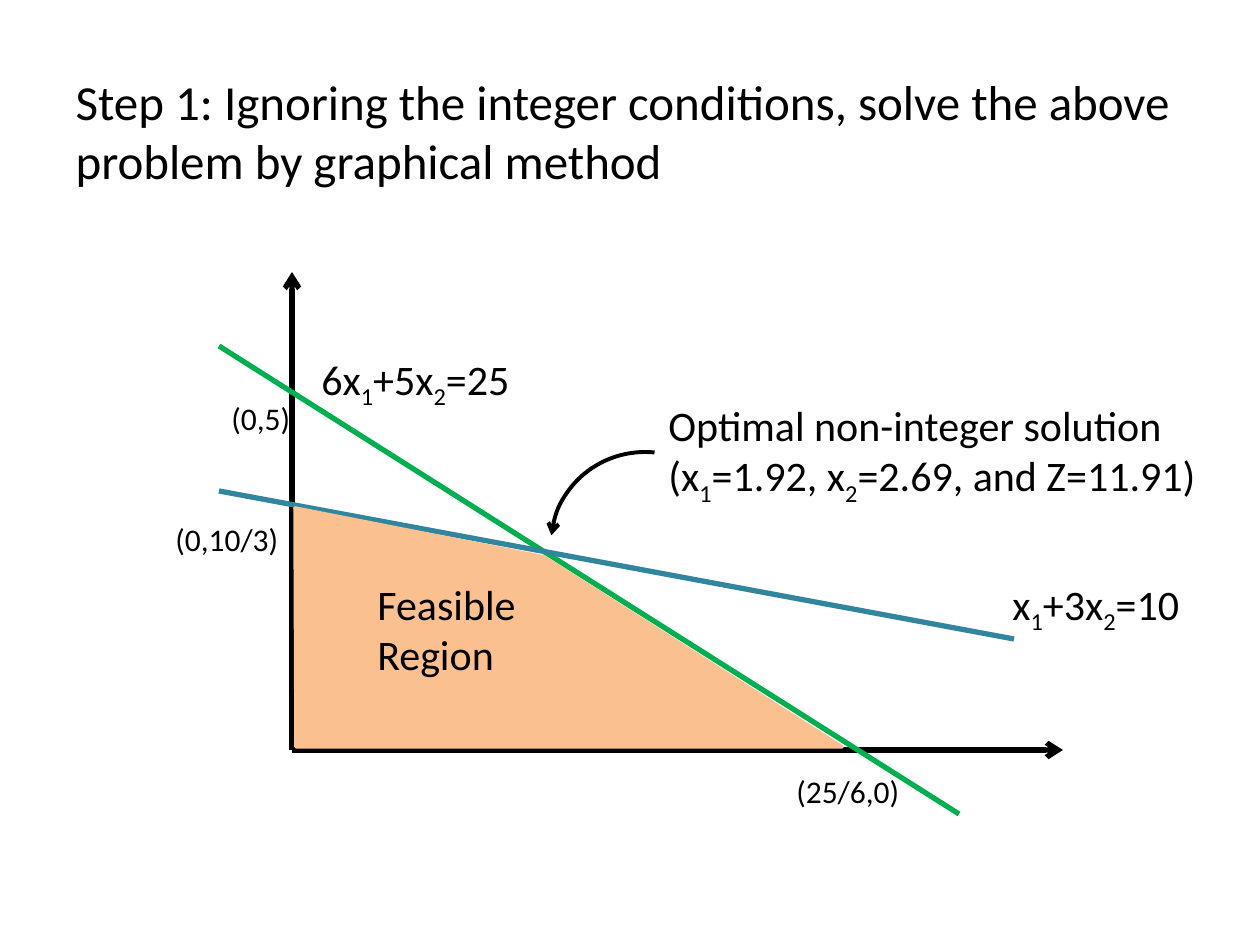
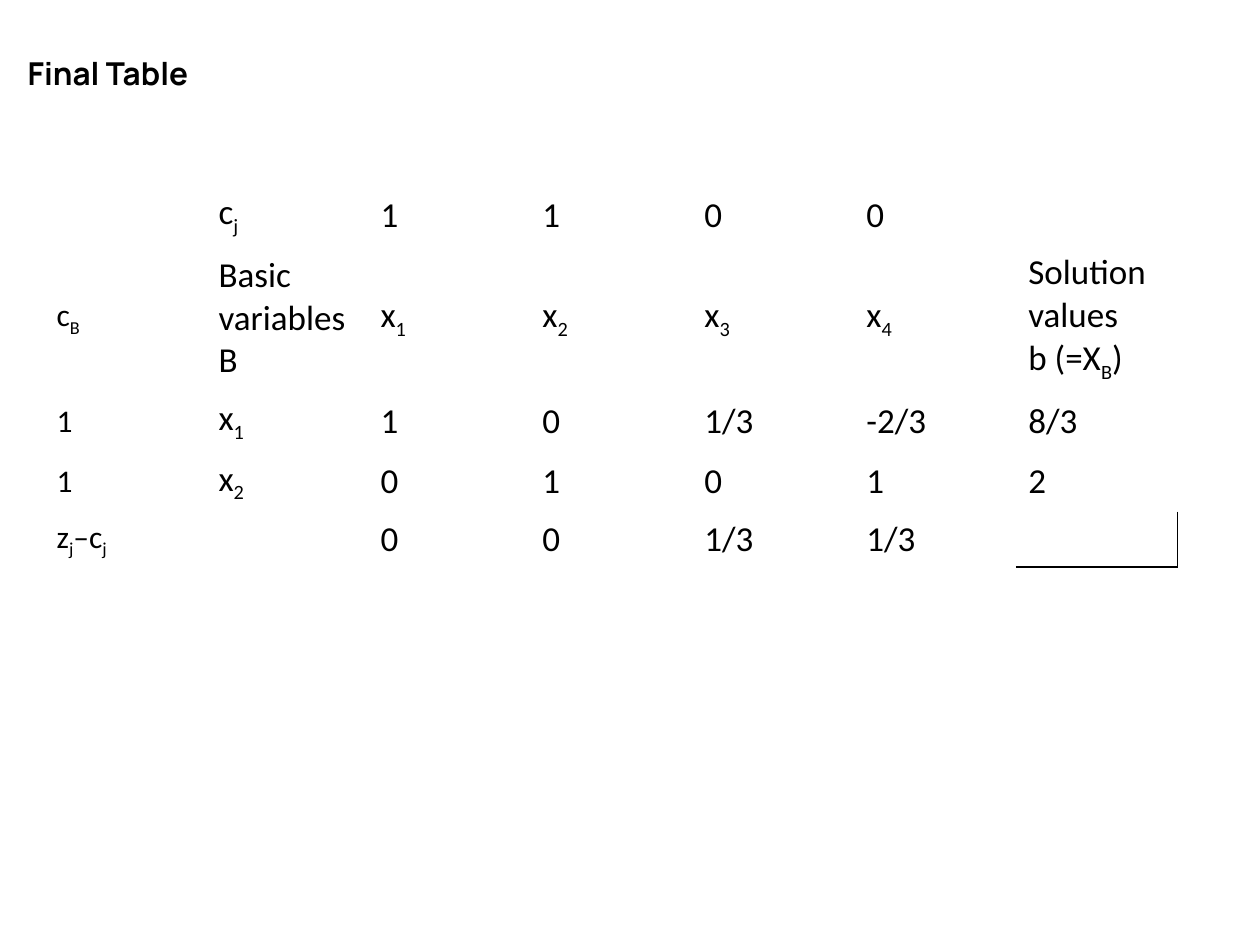
from typing import NamedTuple

from pptx import Presentation
from pptx.dml.color import RGBColor
from pptx.enum.shapes import MSO_CONNECTOR as Connector, MSO_SHAPE as Shape
from pptx.enum.text import MSO_ANCHOR as Anchor, MSO_AUTO_SIZE as AutoSize, PP_ALIGN as Align
from pptx.oxml.ns import qn
from pptx.oxml.xmlchemy import OxmlElement
from pptx.util import Emu, Pt

PX_PER_INCH = 126
EMU_PER_PX = 914400 / PX_PER_INCH
BODY_FONT, ACCENT_FONT = "Calibri", "Manrope"
NO_GRID_STYLE = "{2D5ABB26-0587-4C30-8999-92F81FD0307C}"
COLORS = {
    "ink": "000000",
    "steep": "00B050",
    "shallow": "31859C",
    "region": "FAC090",
}


class Box(NamedTuple):
    left: int
    top: int
    width: int
    height: int


class Segment(NamedTuple):
    start: tuple[int, int]
    end: tuple[int, int]
    color: str
    arrow: bool = False


class Label(NamedTuple):
    text: str
    box: Box
    size: int = 24
    wrap: bool = False


ORIGIN = (292, 750)
SEGMENTS = [
    Segment((292, 272), ORIGIN, "ink", arrow=True),
    Segment((1063, 750), ORIGIN, "ink", arrow=True),
    Segment((959, 814), (219, 346), "steep"),
    Segment((1014, 639), (219, 491), "shallow"),
]
REGION_CORNERS = [(295, 508), (544, 557), (842, 747), (296, 747)]
SOLUTION_ARC = Box(553, 450, 185, 189)
LABELS = [
    Label("Feasible\nRegion", Box(365, 572, 175, 115)),
    Label("Optimal non-integer solution\n(x_1=1.92, x_2=2.69, and Z=11.91)",
          Box(656, 393, 561, 115)),
    Label("6x_1+5x_2=25", Box(309, 347, 219, 63)),
    Label("x_1+3x_2=10", Box(1000, 572, 198, 63)),
    Label("(25/6,0)", Box(784, 766, 179, 50), 18, wrap=True),
    Label("(0,5)", Box(219, 393, 86, 50), 18),
    Label("(0,10/3)", Box(163, 514, 130, 50), 18),
]

SIMPLEX_ROWS = [
    ["", "c_j", "1", "1", "0", "0", ""],
    ["c_B", "Basic variables\vB", "x_1", "x_2", "x_3", "x_4", "Solution values\vb (=X_B)"],
    ["1", "x_1", "1", "0", "1/3", "-2/3", "8/3"],
    ["1", "x_2", "0", "1", "0", "1", "2"],
    ["z_j–c_j", "", "0", "0", "1/3", "1/3", ""],
]
ROW_HEIGHTS = [54, 141, 54, 54, 54]
COLUMN_WIDTH = 162


def px(value: float) -> Emu:
    return Emu(round(value * EMU_PER_PX))


def emu_box(box: Box) -> list[Emu]:
    return [px(length) for length in box]


def rgb(name: str) -> RGBColor:
    return RGBColor.from_string(COLORS[name])


def add_runs(paragraph, text: str, size: int, font: str = BODY_FONT, bold: bool = False) -> None:
    """Add text in which "_" lowers the next character and "\\v" breaks the line."""
    def add(piece: str, lowered: bool = False) -> None:
        if not piece:
            return
        run = paragraph.add_run()
        run.text = piece
        run.font.name, run.font.size = font, Pt(size)
        run.font.color.rgb = rgb("ink")
        if bold:
            run.font.bold = True
        if lowered:
            run._r.get_or_add_rPr().set("baseline", "-25000")

    for index, line in enumerate(text.split("\v")):
        if index:
            paragraph.add_line_break()
        plain, *rest = line.split("_")
        add(plain)
        for piece in rest:
            add(piece[0], lowered=True)
            add(piece[1:])


def add_titled_slide(deck, text: str, box: Box, size: int, font: str = BODY_FONT,
                     bold: bool = False, top_inset: int = 6):
    slide = deck.slides.add_slide(deck.slide_layouts[5])
    title = slide.shapes.title
    title.left, title.top, title.width, title.height = emu_box(box)
    frame = title.text_frame
    frame.word_wrap = True
    frame.auto_size = AutoSize.NONE
    frame.vertical_anchor = Anchor.TOP
    frame.margin_top = px(top_inset)
    paragraph = frame.paragraphs[0]
    paragraph.alignment = Align.LEFT
    add_runs(paragraph, text, size, font, bold)
    return slide


def style_line(shape, color: str, width: float, arrow: bool = False) -> None:
    shape.line.color.rgb = rgb(color)
    shape.line.width = Pt(width)
    if arrow:
        head = OxmlElement("a:headEnd")
        head.set("type", "arrow")
        shape.line._get_or_add_ln().append(head)


def draw_segment(slide, segment: Segment) -> None:
    ends = [px(value) for value in (*segment.start, *segment.end)]
    line = slide.shapes.add_connector(Connector.STRAIGHT, *ends)
    style_line(line, segment.color, 3, segment.arrow)
    line._element.spPr.append(OxmlElement("a:effectLst"))


def draw_region(slide) -> None:
    first, *others = [(px(x), px(y)) for x, y in REGION_CORNERS]
    builder = slide.shapes.build_freeform(*first)
    builder.add_line_segments(others, close=True)
    region = builder.convert_to_shape()
    region.shadow.inherit = False
    region.fill.solid()
    region.fill.fore_color.rgb = rgb("region")
    style_line(region, "region", 2)


def draw_solution_arc(slide) -> None:
    arc = slide.shapes.add_shape(Shape.ARC, *emu_box(SOLUTION_ARC))
    arc.rotation = 275.6
    arc.shadow.inherit = False
    arc.fill.background()
    style_line(arc, "ink", 2.25, arrow=True)


def draw_label(slide, label: Label) -> None:
    frame = slide.shapes.add_textbox(*emu_box(label.box)).text_frame
    frame.word_wrap = label.wrap
    frame.auto_size = AutoSize.SHAPE_TO_FIT_TEXT
    for index, line in enumerate(label.text.split("\n")):
        paragraph = frame.add_paragraph() if index else frame.paragraphs[0]
        add_runs(paragraph, line, label.size)


def add_border(cell, side: str) -> None:
    border = OxmlElement(f"a:{side}")
    border.set("w", str(Pt(1)))
    fill = OxmlElement("a:solidFill")
    color = OxmlElement("a:srgbClr")
    color.set("val", COLORS["ink"])
    fill.append(color)
    border.append(fill)
    cell._tc.get_or_add_tcPr().insert(0, border)


def draw_simplex_table(slide) -> None:
    column_count = len(SIMPLEX_ROWS[0])
    box = Box(44, 185, column_count * COLUMN_WIDTH, sum(ROW_HEIGHTS))
    table = slide.shapes.add_table(len(SIMPLEX_ROWS), column_count, *emu_box(box)).table
    table.first_row = table.horz_banding = False
    table._tbl.tblPr.find(qn("a:tableStyleId")).text = NO_GRID_STYLE
    for column in table.columns:
        column.width = px(COLUMN_WIDTH)
    for r, (height, texts) in enumerate(zip(ROW_HEIGHTS, SIMPLEX_ROWS)):
        table.rows[r].height = px(height)
        for c, text in enumerate(texts):
            cell = table.cell(r, c)
            cell.fill.background()
            cell.vertical_anchor = Anchor.MIDDLE
            add_runs(cell.text_frame.paragraphs[0], text, 20 if c else 18)
    corner = table.cell(len(SIMPLEX_ROWS) - 1, column_count - 1)
    for side in ("lnB", "lnR"):
        add_border(corner, side)


def build_graph_slide(deck) -> None:
    slide = add_titled_slide(
        deck,
        "Step 1: Ignoring the integer conditions, solve the above problem by graphical method",
        Box(63, 66, 1196, 131), 28)
    for segment in SEGMENTS:
        draw_segment(slide, segment)
    draw_region(slide)
    draw_solution_arc(slide)
    for label in LABELS:
        draw_label(slide, label)


def build_table_slide(deck) -> None:
    slide = add_titled_slide(deck, "Final Table", Box(15, 16, 1058, 152), 18,
                             ACCENT_FONT, bold=True, top_inset=38)
    draw_simplex_table(slide)


def main() -> None:
    deck = Presentation()
    deck.slide_width, deck.slide_height = px(1260), px(945)
    build_graph_slide(deck)
    build_table_slide(deck)
    deck.save("out.pptx")


if __name__ == "__main__":
    main()
